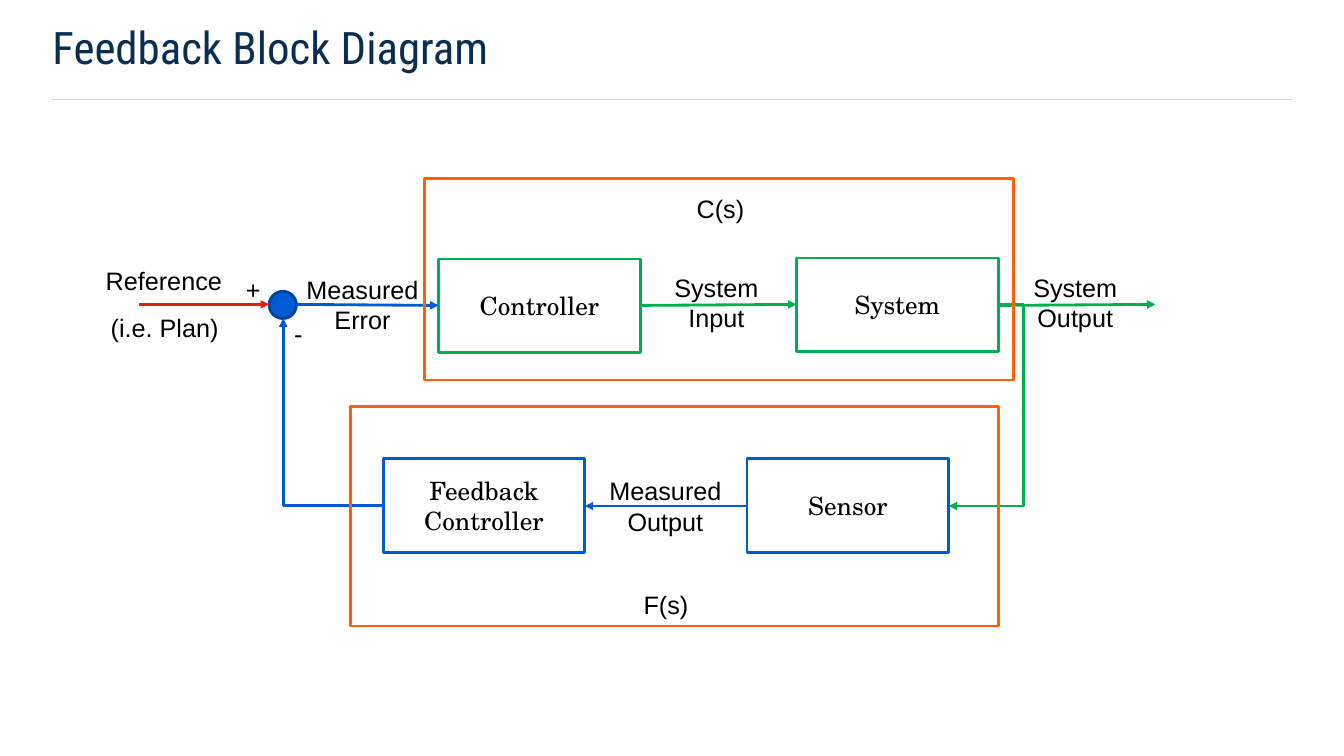
from pptx import Presentation
from pptx.dml.color import RGBColor
from pptx.enum.shapes import MSO_CONNECTOR, MSO_SHAPE
from pptx.enum.text import MSO_ANCHOR, MSO_AUTO_SIZE, PP_ALIGN
from pptx.oxml.ns import qn
from pptx.util import Inches, Pt
from lxml.etree import SubElement

NAVY = RGBColor(0x0A, 0x2D, 0x50)
GRAY = RGBColor(0xCD, 0xD7, 0xDC)
GREEN = RGBColor(0x00, 0xB0, 0x50)
BLUE = RGBColor(0x00, 0x5A, 0xD2)
DARK_BLUE = RGBColor(0x00, 0x43, 0x9B)
RED = RGBColor(0xE2, 0x1E, 0x15)
ORANGE = RGBColor(0xFF, 0x5F, 0x05)
WHITE = RGBColor(0xFF, 0xFF, 0xFF)
BLACK = RGBColor(0x00, 0x00, 0x00)

BLOCK_W, BLOCK_H = 2, 0.93
FORWARD_Y, RETURN_Y = 3.02, 5.02
LABEL_H, TWO_LINE_H = 0.4, 0.71


def add_run(p, text, font, size=18, color=BLACK):
    r = p.add_run()
    r.text = text
    r.font.name = font
    r.font.size = Pt(size)
    r.font.color.rgb = color


def add_title(s, text):
    tb = s.shapes.add_textbox(Inches(0.52), Inches(0.2), Inches(12.28), Inches(0.79))
    tf = tb.text_frame
    tf.word_wrap = True
    tf.margin_left = tf.margin_right = tf.margin_top = tf.margin_bottom = 0
    add_run(tf.paragraphs[0], text, "Roboto Condensed", 32, NAVY)


def add_label(s, text, x, y, w, h=LABEL_H, align=PP_ALIGN.CENTER):
    tb = s.shapes.add_textbox(Inches(x), Inches(y), Inches(w), Inches(h))
    tf = tb.text_frame
    tf.word_wrap = True
    tf.auto_size = MSO_AUTO_SIZE.SHAPE_TO_FIT_TEXT
    p = tf.paragraphs[0]
    p.alignment = align
    add_run(p, text, "Arial")


def add_outline(s, kind, x, y, w, h, line, fill=None):
    sp = s.shapes.add_shape(kind, Inches(x), Inches(y), Inches(w), Inches(h))
    sp.shadow.inherit = False
    if fill is None:
        sp.fill.background()
    else:
        sp.fill.solid()
        sp.fill.fore_color.rgb = fill
    sp.line.color.rgb = line
    sp.line.width = Pt(2)
    return sp


def add_block(s, text, x, y, color):
    sp = add_outline(s, MSO_SHAPE.RECTANGLE, x, y, BLOCK_W, BLOCK_H, color, WHITE)
    tf = sp.text_frame
    tf.word_wrap = True
    tf.vertical_anchor = MSO_ANCHOR.MIDDLE
    p = tf.paragraphs[0]
    p.alignment = PP_ALIGN.CENTER
    add_run(p, text, "TeX Gyre Schola")


def add_line(s, start, end, color, width=2, kind=MSO_CONNECTOR.STRAIGHT):
    cxn = s.shapes.add_connector(kind, *[Inches(v) for v in (*start, *end)])
    cxn.line.color.rgb = color
    cxn.line.width = Pt(width)
    SubElement(cxn._element.spPr, qn("a:effectLst"))
    return cxn


def add_arrow(s, start, end, color, kind=MSO_CONNECTOR.STRAIGHT):
    cxn = add_line(s, start, end, color, kind=kind)
    SubElement(cxn.line._get_or_add_ln(), qn("a:tailEnd"), type="triangle")
    return cxn


def add_elbow(s, start, end, color, preset, adjust=None):
    cxn = add_arrow(s, start, end, color, MSO_CONNECTOR.ELBOW)
    geom = cxn._element.spPr.find(qn("a:prstGeom"))
    geom.set("prst", preset)
    if adjust is not None:
        guides = geom.find(qn("a:avLst"))
        if guides is None:
            guides = SubElement(geom, qn("a:avLst"))
        SubElement(guides, qn("a:gd"), name="adj1", fmla=f"val {round(adjust * 100000)}")


def main():
    prs = Presentation()
    prs.slide_width, prs.slide_height = Inches(13.33), Inches(7.5)
    s = prs.slides.add_slide(prs.slide_layouts[6])

    # Heading
    add_line(s, (0.52, 0.99), (12.81, 0.99), GRAY, 1)
    add_title(s, "Feedback Block Diagram")

    # Blocks and summing junction
    for text, x, y, color in [
        ("Controller", 4.35, 2.57, GREEN),
        ("System", 7.9, 2.56, GREEN),
        ("Sensor", 7.41, 4.55, BLUE),
        ("Feedback Controller", 3.8, 4.55, BLUE),
    ]:
        add_block(s, text, x, y, color)
    add_outline(s, MSO_SHAPE.OVAL, 2.67, 2.89, 0.27, 0.27, DARK_BLUE, BLUE)

    # Signal arrows
    for start, end, color in [
        ((1.38, FORWARD_Y), (2.67, FORWARD_Y), RED),
        ((2.94, FORWARD_Y), (4.35, 3.03), BLUE),
        ((6.35, 3.03), (7.9, FORWARD_Y), GREEN),
        ((9.92, 3.03), (11.46, FORWARD_Y), GREEN),
        ((7.41, RETURN_Y), (5.8, RETURN_Y), BLUE),
    ]:
        add_arrow(s, start, end, color)
    add_elbow(s, (9.9, FORWARD_Y), (9.41, RETURN_Y), GREEN, "bentConnector3", -0.51)
    add_elbow(s, (3.8, RETURN_Y), (2.81, 3.16), BLUE, "bentConnector2")

    # Signal labels
    for text, x, y, w in [
        ("Measured Error", 2.85, 2.67, 1.49),
        ("System Input", 6.49, 2.65, 1.23),
        ("System Output", 10.05, 2.65, 1.23),
        ("Measured Output", 5.89, 4.67, 1.42),
    ]:
        add_label(s, text, x, y, w, TWO_LINE_H)
    for text, x, y, w in [
        ("Reference", 0.95, 2.58, 1.5),
        ("(i.e. Plan)", 1, 3.05, 1.4),
        ("+", 2.34, 2.67, 0.24),
        ("-", 2.82, 3.11, 0.24),
    ]:
        add_label(s, text, x, y, w, align=PP_ALIGN.LEFT)

    # Transfer function groups
    for text, frame, label_x, label_y in [
        ("C(s)", (4.21, 1.77, 5.84, 2), 5.39, 1.87),
        ("F(s)", (3.48, 4.03, 6.42, 2.18), 4.85, 5.8),
    ]:
        add_outline(s, MSO_SHAPE.RECTANGLE, *frame, ORANGE)
        add_label(s, text, label_x, label_y, 3.51)

    prs.save("out.pptx")


if __name__ == "__main__":
    main()
